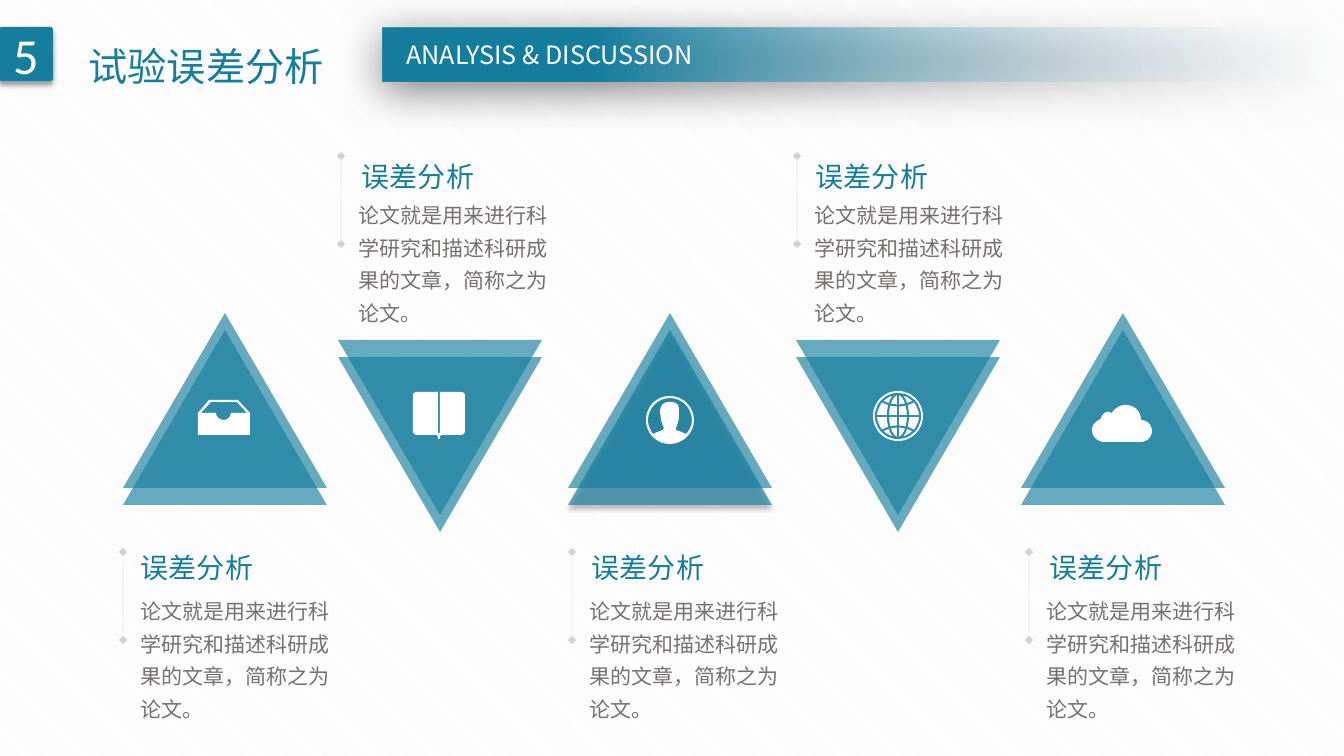
from lxml.etree import SubElement
from pptx import Presentation
from pptx.dml.color import RGBColor
from pptx.enum.dml import MSO_PATTERN
from pptx.enum.shapes import MSO_CONNECTOR as LINE, MSO_SHAPE as SHAPE
from pptx.enum.text import MSO_ANCHOR as ANCHOR, PP_ALIGN as ALIGN
from pptx.oxml.ns import qn
from pptx.util import Pt

PX = 914400 / 100.8
FINE = 10  # freeform units per px
TEAL = RGBColor(0x15, 0x7E, 0x9F)
TEAL_GLASS = RGBColor(0x31, 0x8C, 0xAA)
WHITE = RGBColor(0xFF, 0xFF, 0xFF)
STRIPE = RGBColor(0xF2, 0xF2, 0xF2)
MIST = RGBColor(0xF7, 0xFA, 0xFD)
GREY = RGBColor(0x80, 0x80, 0x80)
BODY_GREY = RGBColor(0x76, 0x71, 0x71)
CJK = "Noto Sans CJK SC"
HEADING = "误差分析"
BODY = "论文就是用来进行科学研究和描述科研成果的文章，简称之为论文。"

# Contours in px: a pair is a straight step, six numbers are a cubic curve.
TRAY = [
    [(40, 0), (11, 0), (0, 13), (0, 35), (52, 35), (52, 13), (40, 0)],
    [(13, 2), (39, 2), (49, 13), (33, 13), (33, 17, 29, 20, 26, 20),
     (22, 20, 18, 17, 18, 13), (3, 13), (13, 2)],
]
BOOK = [
    [(4, 0), (25, 0), (25, 41), (27, 41), (27, 0), (48, 0), (50, 0, 52, 1, 52, 4),
     (52, 39), (52, 41, 50, 43, 48, 43), (29, 43), (28, 43, 27, 44, 27, 45),
     (27, 47), (25, 47), (25, 45), (25, 44, 24, 43, 23, 43), (4, 43),
     (2, 43, 0, 41, 0, 39), (0, 4), (0, 1, 2, 0, 4, 0)],
]
PERSON = [
    [(24, 0), (10, 0, 0, 11, 0, 24), (0, 37, 10, 48, 24, 48),
     (37, 48, 48, 37, 48, 24), (48, 11, 37, 0, 24, 0)],
    [(40, 38), (38, 37, 33, 35, 30, 34), (30, 32, 30, 31, 31, 30),
     (31, 29, 31, 28, 32, 27), (32, 26, 32, 25, 33, 23), (33, 15),
     (33, 14, 33, 11, 32, 9), (31, 8, 29, 6, 25, 6), (23, 6),
     (19, 6, 17, 8, 16, 9), (15, 11, 14, 14, 14, 15), (15, 23),
     (15, 25, 16, 26, 16, 27), (16, 28, 17, 29, 17, 30), (18, 31, 18, 32, 17, 34),
     (14, 35, 9, 37, 7, 38), (4, 34, 2, 29, 2, 24), (2, 12, 12, 2, 24, 2),
     (36, 2, 46, 12, 46, 24), (46, 29, 44, 34, 40, 38)],
]
CLOUD = [
    [(49, 15), (49, 6, 42, 0, 34, 0), (28, 0, 23, 3, 20, 8), (19, 8, 18, 7, 16, 7),
     (13, 7, 9, 10, 9, 14), (4, 16, 0, 20, 0, 25), (0, 32, 6, 37, 12, 37),
     (49, 37), (55, 37, 60, 32, 60, 26), (60, 20, 55, 15, 49, 15)],
]
PARALLELS = [
    [(9, 10), (18, 16, 32, 16, 41, 10)],
    [(9, 40), (18, 34, 32, 34, 41, 40)],
]


def px(*lengths):
    return [round(length * PX) for length in lengths]


def set_alpha(color_parent, percent):
    color = next(color_parent.iter(qn("a:srgbClr")))
    SubElement(color, qn("a:alpha"), val=str(percent * 1000))


def add_shadow(shape, alpha, blur, distance, angle):
    effects = shape._element.spPr.find(qn("a:effectLst"))
    shadow = SubElement(effects, qn("a:outerShdw"), blurRad=str(Pt(blur)),
                        dist=str(Pt(distance)), dir=str(angle * 60000),
                        algn="ctr", rotWithShape="0")
    SubElement(shadow, qn("a:srgbClr"), val="000000")
    set_alpha(shadow, alpha)


def paint(shape, fill=None, alpha=100, line=None):
    shape.shadow.inherit = False
    if fill is None:
        shape.fill.background()
    else:
        shape.fill.solid()
        shape.fill.fore_color.rgb = fill
        if alpha < 100:
            set_alpha(shape.fill._xPr, alpha)
    if line is None:
        shape.line.fill.background()
    else:
        shape.line.color.rgb = line
        shape.line.width = Pt(1.5)
    return shape


def write(frame, text, size, color, font=CJK, align=ALIGN.LEFT, spacing=1.0, wrap=False):
    frame.word_wrap = wrap
    paragraph = frame.paragraphs[0]
    paragraph.alignment = align
    paragraph.line_spacing = spacing
    run = paragraph.add_run()
    run.text = text
    run.font.size = Pt(size)
    run.font.color.rgb = color
    run.font.name = font
    SubElement(run._r.get_or_add_rPr(), qn("a:ea"), typeface=font)


def add_text(shapes, box, text, **style):
    write(shapes.add_textbox(*px(*box)).text_frame, text, **style)


def flatten(contour, steps=8):
    """Turn one contour into a list of points in freeform units."""
    points = [contour[0]]
    for step in contour[1:]:
        if len(step) == 2:
            points.append(step)
            continue
        curve = [points[-1], step[:2], step[2:4], step[4:]]
        for i in range(1, steps + 1):
            t = i / steps
            weights = ((1 - t) ** 3, 3 * t * (1 - t) ** 2, 3 * t * t * (1 - t), t ** 3)
            points.append(tuple(sum(w * p[axis] for w, p in zip(weights, curve))
                                for axis in (0, 1)))
    return [(x * FINE, y * FINE) for x, y in points]


def add_outline(shapes, x, y, contours, closed=True, **look):
    first, *others = [flatten(contour) for contour in contours]
    builder = shapes.build_freeform(*first[0], scale=PX / FINE)
    builder.add_line_segments(first[1:], close=closed)
    for points in others:
        builder.move_to(*points[0])
        builder.add_line_segments(points[1:], close=closed)
    return paint(builder.convert_to_shape(*px(x, y)), **look)


def add_globe(shapes, x, y):
    globe = shapes.add_group_shape().shapes
    paint(globe.add_shape(SHAPE.OVAL, *px(x, y, 50, 50)), WHITE)
    for inset in (3, 15):
        ring = globe.add_shape(SHAPE.OVAL, *px(x + inset, y + 3, 50 - 2 * inset, 44))
        paint(ring, line=TEAL_GLASS)
    add_outline(globe, x, y, PARALLELS, closed=False, line=TEAL_GLASS)
    for ends in ((x + 25, y + 3, x + 25, y + 47), (x + 3, y + 25, x + 47, y + 25)):
        axis = globe.add_connector(LINE.STRAIGHT, *px(*ends))
        axis.line.color.rgb = TEAL_GLASS
        axis.line.width = Pt(1.5)
        SubElement(axis._element.spPr, qn("a:effectLst"))


def add_header(shapes):
    banner = paint(shapes.add_shape(SHAPE.RECTANGLE, *px(383, 28, 961, 53)))
    banner.fill.gradient()
    banner.fill.gradient_angle = 180
    for stop, color, position in zip(banner.fill.gradient_stops, (MIST, TEAL), (0, 0.78)):
        stop.color.rgb = color
        stop.position = position
    set_alpha(banner.fill._xPr, 0)
    add_shadow(banner, 50, 31, 6, 97)

    number = paint(shapes.add_shape(SHAPE.ROUNDED_RECTANGLE, *px(-1, 27, 54, 54)), TEAL)
    number.adjustments[0] = 0.05
    add_shadow(number, 40, 4, 3, 90)
    number.text_frame.vertical_anchor = ANCHOR.MIDDLE
    write(number.text_frame, "5", size=36, color=WHITE, font="Calibri",
          align=ALIGN.CENTER, wrap=True)

    add_text(shapes, (383, 34, 333, 40), "ANALYSIS & DISCUSSION", size=18, color=WHITE,
             align=ALIGN.CENTER)
    add_text(shapes, (70, 14, 268, 74), " 试验误差分析", size=28, color=TEAL, spacing=1.5)


def add_triangles(shapes, x, y, points_up, shadowed):
    pair = shapes.add_group_shape().shapes
    for i, drop in enumerate((17, 0) if points_up else (0, 17)):
        triangle = paint(pair.add_shape(SHAPE.ISOSCELES_TRIANGLE, *px(x, y + drop, 204, 175)),
                         TEAL, alpha=65)
        triangle.rotation = 0 if points_up else 180
        if shadowed and i == 0:
            add_shadow(triangle, 40, 4, 3, 90)


def add_caption(shapes, x, y, heading_dx, heading_dy):
    rule = shapes.add_connector(LINE.STRAIGHT, *px(x, y, x, y + 88))
    rule.line.color.rgb = GREY
    rule.line.width = Pt(0.25)
    stroke = rule.line._get_or_add_ln()
    set_alpha(stroke, 33)
    for end in ("a:headEnd", "a:tailEnd"):
        SubElement(stroke, qn(end), type="diamond")
    SubElement(rule._element.spPr, qn("a:effectLst"))
    add_text(shapes, (x + heading_dx, y + heading_dy, 133, 50), HEADING,
             size=20, color=TEAL, spacing=1.3)
    add_text(shapes, (x + 8, y + 34, 210, 141), BODY, size=15, color=BODY_GREY,
             spacing=1.3, wrap=True)


def main():
    deck = Presentation()
    deck.slide_width, deck.slide_height = px(1344, 756)
    slide = deck.slides.add_slide(deck.slide_layouts[6])
    paper = slide.background.fill
    paper.patterned()
    paper.pattern = MSO_PATTERN.DARK_DOWNWARD_DIAGONAL
    paper.fore_color.rgb = STRIPE
    paper.back_color.rgb = WHITE

    shapes = slide.shapes
    add_header(shapes)
    # triangle x, caption x, heading offset, icon offset, icon contours
    topics = [
        (123, 123, 8, (75, 87), TRAY),
        (338, 341, 11, (75, 52), BOOK),
        (568, 572, 10, (78, 83), PERSON),
        (796, 797, 9, (77, 51), None),
        (1021, 1029, 11, (71, 92), CLOUD),
    ]
    for i, (x, caption_x, heading_dx, (icon_dx, icon_dy), icon) in enumerate(topics):
        points_up = i % 2 == 0
        y, caption_y, heading_dy = (313, 552, -17) if points_up else (340, 156, -12)
        add_triangles(shapes, x, y, points_up, shadowed=icon is PERSON)
        if icon:
            add_outline(shapes, x + icon_dx, y + icon_dy, icon, fill=WHITE)
        else:
            add_globe(shapes, x + icon_dx, y + icon_dy)
        add_caption(shapes, caption_x, caption_y, heading_dx, heading_dy)
    deck.save("out.pptx")


if __name__ == "__main__":
    main()
